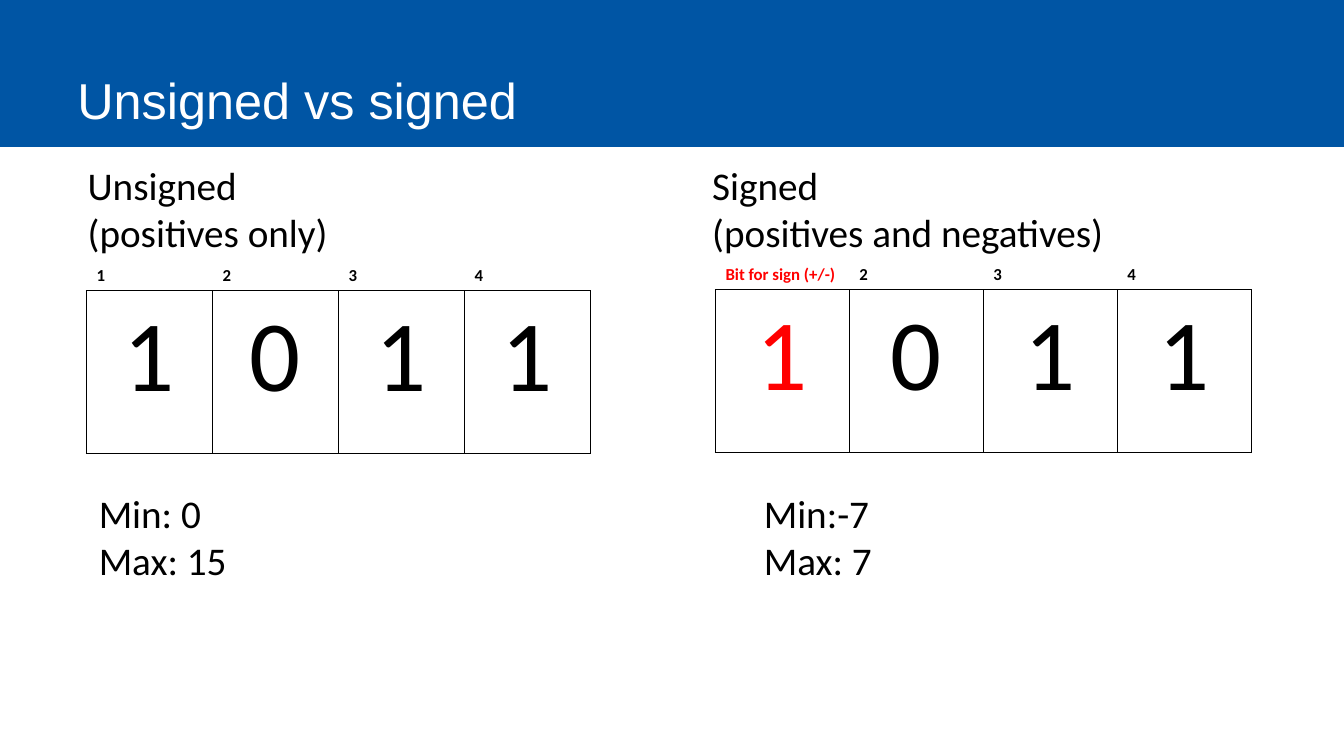
from lxml.etree import SubElement
from pptx import Presentation
from pptx.dml.color import RGBColor
from pptx.enum.shapes import MSO_SHAPE as Shape
from pptx.enum.text import MSO_ANCHOR as Anchor, PP_ALIGN as Align
from pptx.oxml import parse_xml
from pptx.oxml.ns import nsdecls, qn
from pptx.util import Cm, Pt


def style(frame, size, tint, face="Calibri", bold=False):
    for para in frame.paragraphs:
        for run in para.runs:
            run.font.name = face
            run.font.size = Pt(size)
            run.font.bold = bold
            run.font.color.rgb = RGBColor.from_string(tint)


def label(text, left, top, width, height, size=28, tint="000000", face="Calibri"):
    box = slide.shapes.add_textbox(Cm(left), Cm(top), Cm(width), Cm(height))
    frame = box.text_frame
    frame.word_wrap = True
    frame.text = text
    style(frame, size, tint, face)
    return frame


deck = Presentation()
deck.slide_width, deck.slide_height = Cm(33.87), Cm(19.05)
slide = deck.slides.add_slide(deck.slide_layouts[6])

band = slide.shapes.add_shape(Shape.RECTANGLE, 0, 0, deck.slide_width, Cm(3.7))
band.shadow.inherit = False
band.fill.solid()
band.fill.fore_color.rgb = RGBColor.from_string("0055A4")
band.line.fill.background()

title = label("Unsigned vs signed", 1.7, 0, 29.85, 3.4, 36, "FFFFFF", "Arial")
title.vertical_anchor = Anchor.BOTTOM
title.paragraphs[0].line_spacing = 0.9

bits = ["1", "0", "1", "1"]
grids = [
    (2.18, 3.23, 12.7, ["1", "2", "3", "4"], "000000"),
    (18.03, 3.2, 13.5, ["Bit for sign (+/-)", "2", "3", "4"], "FF0000"),
]
for left, top, width, heads, first in grids:
    grid = slide.shapes.add_table(2, 4, Cm(left), Cm(top), Cm(width), Cm(8.2)).table
    grid.first_row = grid.horz_banding = False
    look = grid._tbl.tblPr.find(qn("a:tableStyleId"))
    look.text = "{2D5ABB26-0587-4C30-8999-92F81FD0307C}"
    for row, texts in enumerate([heads, bits]):
        for col, text in enumerate(texts):
            cell = grid.cell(row, col)
            cell.text = text
            cell.fill.background()
            tint = "000000" if col else first
            if row == 0:
                cell.vertical_anchor = Anchor.BOTTOM
                style(cell.text_frame, 12, tint, bold=True)
                sides = ["lnB"]
            else:
                cell.text_frame.paragraphs[0].alignment = Align.CENTER
                style(cell.text_frame, 72, tint)
                sides = ["lnL", "lnR", "lnT", "lnB"]
            props = cell._tc.get_or_add_tcPr()
            for spot, side in enumerate(sides):
                edge = parse_xml(f'<a:{side} {nsdecls("a")} w="12700"/>')
                fill = SubElement(edge, qn("a:solidFill"))
                SubElement(fill, qn("a:srgbClr"), val="000000")
                props.insert(spot, edge)

label("Unsigned (positives only)", 1.96, 3.94, 7.29, 2.65)
label("Signed\n(positives and negatives)", 17.7, 3.94, 13.03, 2.65)
label("Min: 0\nMax: 15", 2.24, 12.2, 6, 2.65)
label("Min:-7\nMax: 7", 19, 12.2, 6, 2.65)

deck.save("out.pptx")
